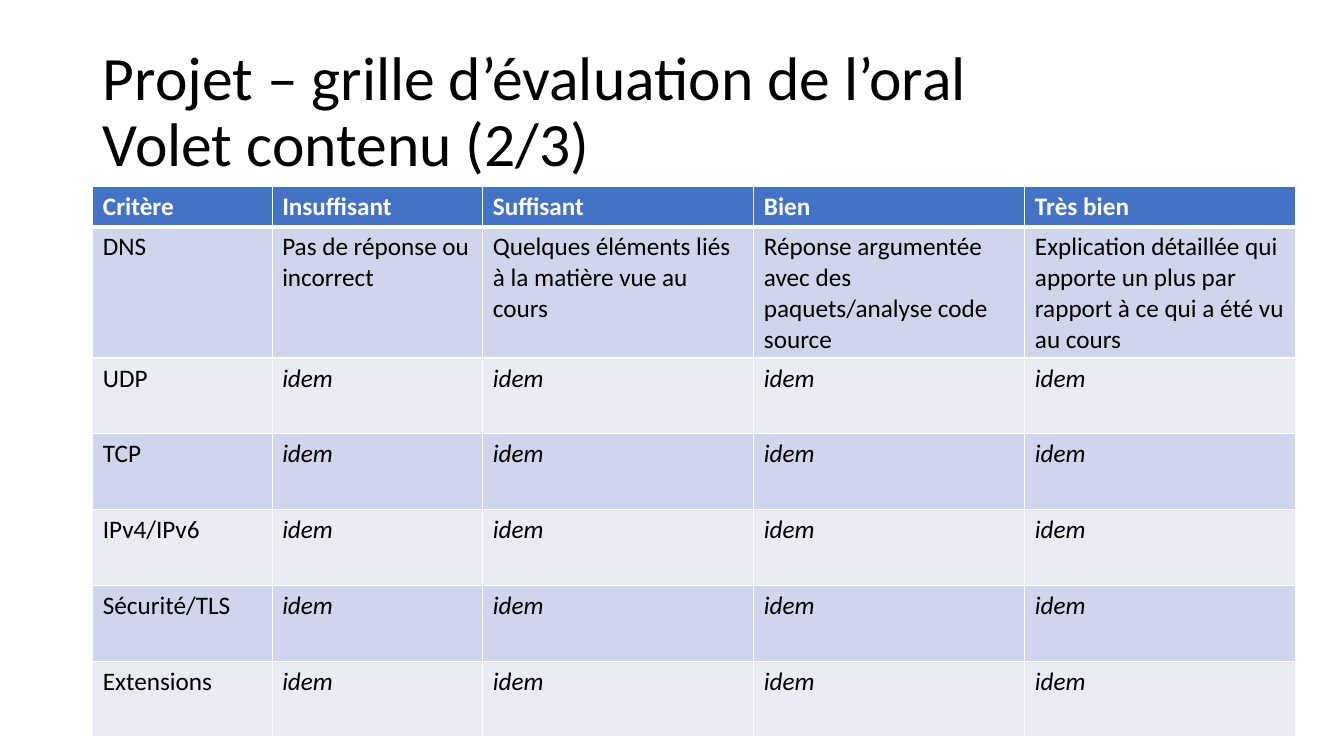
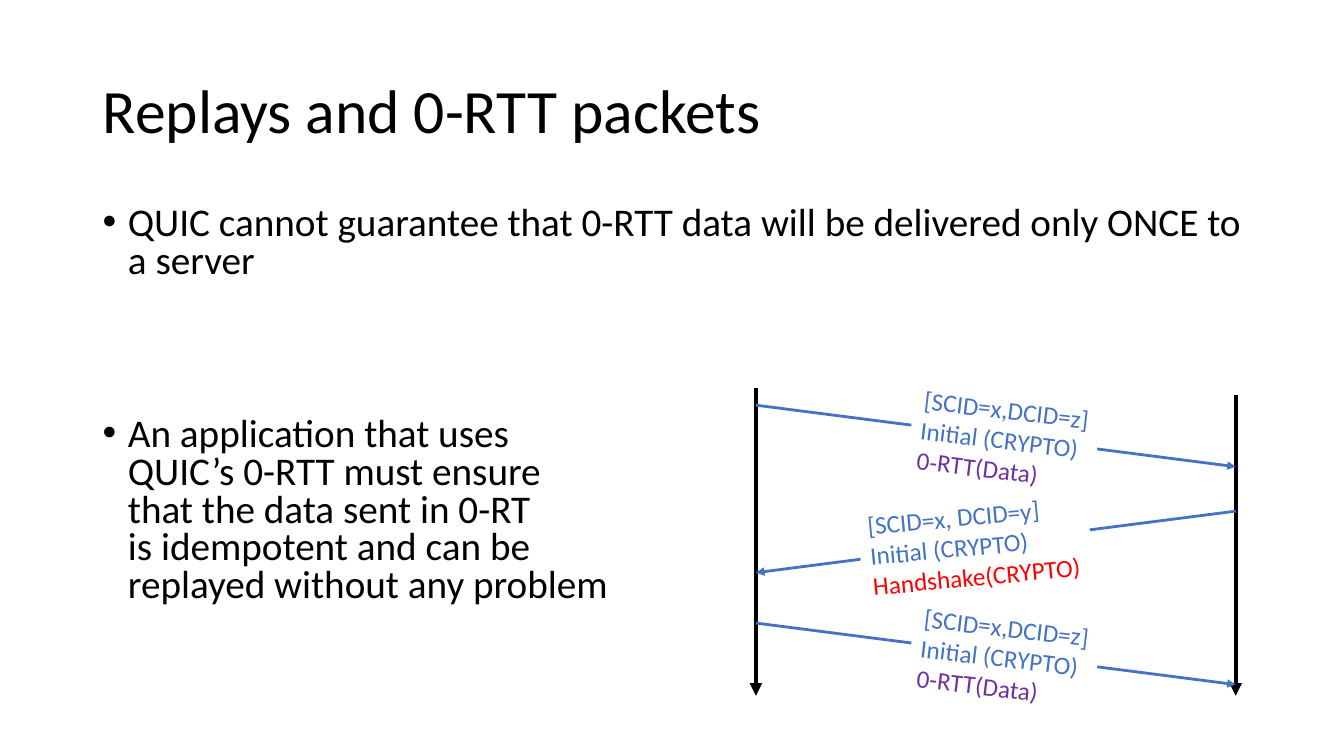
"""Build an oral-exam grading grid and a slide on 0-RTT replays."""
from lxml import etree
from pptx import Presentation
from pptx.dml.color import RGBColor
from pptx.enum import shapes, text
from pptx.oxml import ns
from pptx.util import Cm, Pt

FONT = "Calibri"
COLORS = {"black": "000000", "white": "FFFFFF", "blue": "4472C4", "red": "FF0000",
          "purple": "7030A0", "band_dark": "CFD5EA", "band_light": "E9EBF5"}

GRID_TITLE = "Projet – grille d’évaluation de l’oral\nVolet contenu (2/3)"
LEVELS = ["Critère", "Insuffisant", "Suffisant", "Bien", "Très bien"]
DNS_ANSWERS = ["Pas de réponse ou incorrect",
               "Quelques éléments liés à la matière vue au cours",
               "Réponse argumentée avec des paquets/analyse code source",
               "Explication détaillée qui apporte un plus par rapport à ce qui a été vu au cours"]
SAME_CRITERIA = ["UDP", "TCP", "IPv4/IPv6", "Sécurité/TLS", "Extensions"]
GRID = [LEVELS, ["DNS"] + DNS_ANSWERS] + [[name] + ["idem"] * 4 for name in SAME_CRITERIA]
GRID_WIDTHS = [4.52, 5.31] + [6.83] * 3
GRID_HEIGHTS = [0.89, 2.87] + [1.91] * len(SAME_CRITERIA)

REPLAY_TITLE = "Replays and 0-RTT packets"
REPLAY_POINTS = [
    ("QUIC cannot guarantee that 0-RTT data will be delivered only ONCE to a server", 10),
    ("An application that uses\nQUIC’s 0-RTT must ensure\nthat the data sent in 0-RT\n"
     "is idempotent and can be\nreplayed without any problem", 97),
]
CLIENT_X, SERVER_X, AXIS_END = 19.05, 31.14, 17.53
AXES = [(CLIENT_X, 9.78), (SERVER_X, 9.96)]
CLIENT_HELLO = {"from": CLIENT_X, "to": SERVER_X, "left": 22.94, "width": 4.72, "turn": 6.9,
                "lines": [("[SCID=x,DCID=z]", "blue"), ("Initial (CRYPTO)", "blue"),
                          ("0-RTT(Data)", "purple")]}
SERVER_REPLY = {"from": SERVER_X, "to": CLIENT_X, "left": 21.67, "width": 5.82, "turn": -5.4,
                "lines": [("[SCID=x, DCID=y]", "blue"), ("Initial (CRYPTO)", "blue"),
                          ("Handshake(CRYPTO)", "red")]}
EXCHANGE = [(10.21, CLIENT_HELLO), (12.88, SERVER_REPLY), (15.7, CLIENT_HELLO)]
MESSAGE_DROP, LABEL_RISE, LABEL_HEIGHT = 1.55, 0.4, 2.57


def rgb(name):
    return RGBColor.from_string(COLORS[name])


def style(paragraph, size, color="black", bold=False, italic=False):
    font = paragraph.font
    font.name, font.size, font.bold, font.italic = FONT, Pt(size), bold, italic
    font.color.rgb = rgb(color)


def add_frame(slide, left, top, width, height):
    frame = slide.shapes.add_textbox(Cm(left), Cm(top), Cm(width), Cm(height)).text_frame
    frame.word_wrap = True
    return frame


def add_slide(deck, title):
    slide = deck.slides.add_slide(deck.slide_layouts[6])
    frame = add_frame(slide, 2.34, 1.02, 29.21, 3.68)
    frame.vertical_anchor = text.MSO_ANCHOR.MIDDLE
    heading = frame.paragraphs[0]
    heading.text = title
    heading.line_spacing = 0.9
    style(heading, 44)
    return slide


def set_borders(cell, top, bottom):
    props = cell._tc.get_or_add_tcPr()
    for side, points in (("L", 1), ("R", 1), ("T", top), ("B", bottom)):
        line = etree.SubElement(props, ns.qn(f"a:ln{side}"), w=str(Pt(points)))
        fill = etree.SubElement(line, ns.qn("a:solidFill"))
        etree.SubElement(fill, ns.qn("a:srgbClr"), val=COLORS["white"])


def add_grid(slide):
    table = slide.shapes.add_table(len(GRID), len(LEVELS), Cm(2.34), Cm(4.7),
                                   Cm(sum(GRID_WIDTHS)), Cm(sum(GRID_HEIGHTS))).table
    for column, width in zip(table.columns, GRID_WIDTHS):
        column.width = Cm(width)
    for r, (row, height) in enumerate(zip(GRID, GRID_HEIGHTS)):
        table.rows[r].height = Cm(height)
        header = r == 0
        band = "blue" if header else "band_dark" if r % 2 else "band_light"
        for c, words in enumerate(row):
            cell = table.cell(r, c)
            cell.text = words
            style(cell.text_frame.paragraphs[0], 18, "white" if header else "black",
                  bold=header, italic=words == "idem")
            set_borders(cell, top=3 if r == 1 else 1, bottom=3 if header else 1)
            cell.fill.solid()
            cell.fill.fore_color.rgb = rgb(band)


def add_points(slide):
    frame = add_frame(slide, 2.34, 5.08, 29.21, 12.09)
    for i, (words, gap) in enumerate(REPLAY_POINTS):
        point = frame.add_paragraph() if i else frame.paragraphs[0]
        point.text = words
        point.line_spacing, point.space_before = 0.8, Pt(gap)
        style(point, 28)
        props = point._p.get_or_add_pPr()
        props.set("marL", str(Pt(18)))
        props.set("indent", str(-Pt(18)))
        bullet_font = etree.Element(ns.qn("a:buFont"), typeface="Arial")
        bullet = etree.Element(ns.qn("a:buChar"), char="•")
        defaults = props.find(ns.qn("a:defRPr"))
        defaults.addprevious(bullet_font)
        defaults.addprevious(bullet)


def add_arrow(slide, x1, y1, x2, y2, color, points):
    arrow = slide.shapes.add_connector(shapes.MSO_CONNECTOR.STRAIGHT,
                                       Cm(x1), Cm(y1), Cm(x2), Cm(y2))
    arrow.line.color.rgb = rgb(color)
    arrow.line.width = Pt(points)
    etree.SubElement(arrow.line._get_or_add_ln(), ns.qn("a:tailEnd"), type="triangle")
    etree.SubElement(arrow._element.spPr, ns.qn("a:effectLst"))


def add_message(slide, start, message):
    add_arrow(slide, message["from"], start, message["to"], start + MESSAGE_DROP, "blue", 2)
    label = slide.shapes.add_shape(shapes.MSO_SHAPE.RECTANGLE, Cm(message["left"]),
                                   Cm(start - LABEL_RISE), Cm(message["width"]),
                                   Cm(LABEL_HEIGHT))
    label.rotation = message["turn"]
    label.shadow.inherit = False
    label.fill.solid()
    label.fill.fore_color.rgb = rgb("white")
    label.line.fill.background()
    frame = label.text_frame
    frame.word_wrap = False
    frame.vertical_anchor = text.MSO_ANCHOR.TOP
    for i, (words, color) in enumerate(message["lines"]):
        line = frame.add_paragraph() if i else frame.paragraphs[0]
        line.text = words
        line.alignment = text.PP_ALIGN.LEFT
        style(line, 18, color)


def main():
    deck = Presentation()
    deck.slide_width, deck.slide_height = Cm(33.87), Cm(19.05)
    add_grid(add_slide(deck, GRID_TITLE))
    replay = add_slide(deck, REPLAY_TITLE)
    add_points(replay)
    for x, top in AXES:
        add_arrow(replay, x, top, x, AXIS_END, "black", 3)
    for start, message in EXCHANGE:
        add_message(replay, start, message)
    deck.save("out.pptx")


if __name__ == "__main__":
    main()
